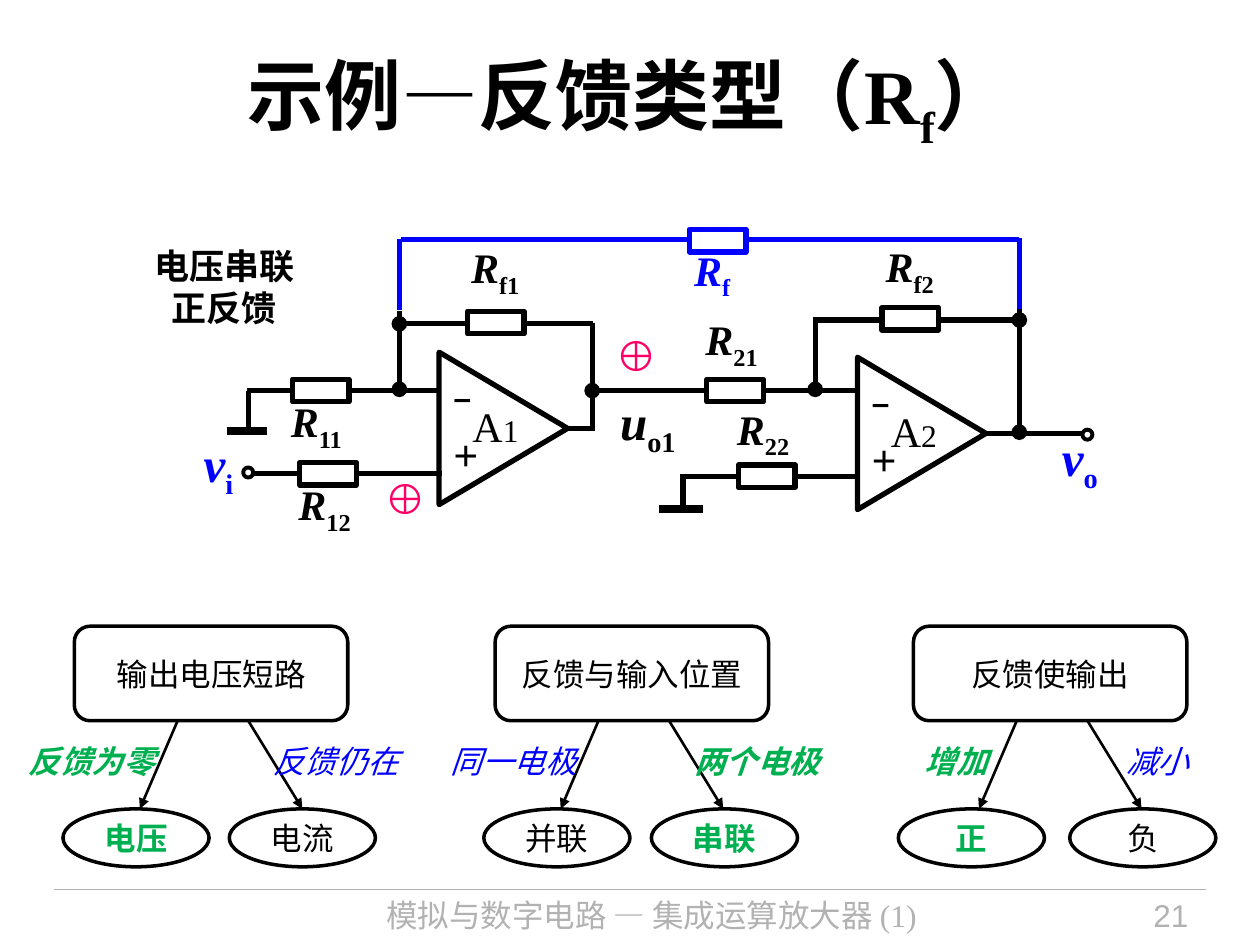
from dataclasses import dataclass, replace

from lxml import etree
from pptx import Presentation
from pptx import util as u
from pptx.dml import color as colour
from pptx.enum import shapes, text
from pptx.oxml import ns


@dataclass(frozen=True)
class Style:
    size: float
    ink: str = "000000"
    font: str = "Arial"
    bold: bool = False
    italic: bool = False
    sub: bool = False


class Theme:
    black, blue, green, pink, grey, white = (
        "000000", "0000FF", "00B050", "FF0066", "B2B2B2", "FFFFFF")
    serif = "Times New Roman"
    title = Style(44, font=serif, bold=True)
    body = Style(18)
    chosen = Style(18, green, bold=True)
    other = Style(18, blue, italic=True)
    verdict = Style(20, bold=True)
    symbol = Style(24, font=serif, bold=True, italic=True)
    signal = replace(symbol, size=28)
    polarity = Style(24, pink, serif, bold=True)
    plus, minus = Style(24), Style(18, bold=True)
    amplifier, amplifier_number = Style(24, font=serif), Style(18, font=serif)
    footer = Style(18, grey, serif)
    page_number = Style(18, grey)
    wire, ground, outline, arrow, rule, terminal = 3, 4.5, 2, 1.5, 0.75, 2.25


@dataclass(frozen=True)
class Box:
    left: float
    top: float
    width: float
    height: float

    def inner(self, x, y, width, height):
        return Box(self.left + x, self.top + y, width, height)

    def lengths(self):
        return [u.Inches(n) for n in (self.left, self.top, self.width, self.height)]


LEFT, CENTRE, RIGHT = text.PP_ALIGN.LEFT, text.PP_ALIGN.CENTER, text.PP_ALIGN.RIGHT
TOP, MIDDLE = text.MSO_ANCHOR.TOP, text.MSO_ANCHOR.MIDDLE
KIND = shapes.MSO_SHAPE


# Basic elements
def write(frame, lines, align=LEFT, anchor=TOP, wrap=True, spacing=None):
    """Each line is a list of (words, style) spans."""
    frame.word_wrap = wrap
    frame.vertical_anchor = anchor
    for index, spans in enumerate(lines):
        para = frame.add_paragraph() if index else frame.paragraphs[0]
        para.alignment = align
        if spacing:
            para.line_spacing = spacing
        for words, style in spans:
            span = para.add_run()
            span.text = words
            font = span.font
            font.name, font.size = style.font, u.Pt(style.size)
            font.bold, font.italic = style.bold, style.italic
            font.color.rgb = colour.RGBColor.from_string(style.ink)
            if style.sub:
                span._r.get_or_add_rPr().set("baseline", "-25000")


def add_text(page, box, lines, inset=True, **layout):
    frame = page.shapes.add_textbox(*box.lengths()).text_frame
    if not inset:
        frame.margin_left = frame.margin_right = 0
        frame.margin_top = frame.margin_bottom = 0
    write(frame, lines, **layout)


def subscripted(letter, index, style):
    return [(letter, style), (index, replace(style, italic=False, sub=True))]


def add_shape(page, kind, box, weight, ink=Theme.black, fill=None):
    shape = page.shapes.add_shape(kind, *box.lengths())
    shape.shadow.inherit = False
    shape.line.color.rgb = colour.RGBColor.from_string(ink)
    shape.line.width = u.Pt(weight)
    if fill:
        shape.fill.solid()
        shape.fill.fore_color.rgb = colour.RGBColor.from_string(fill)
    else:
        shape.fill.background()
    return shape


def add_line(page, box, ends, weight, ink=Theme.black, head=None, tail=None):
    x1, y1, x2, y2 = ends
    line = page.shapes.add_connector(
        shapes.MSO_CONNECTOR.STRAIGHT,
        u.Inches(box.left + x1), u.Inches(box.top + y1),
        u.Inches(box.left + x2), u.Inches(box.top + y2))
    line.line.width = u.Pt(weight)
    line.line.color.rgb = colour.RGBColor.from_string(ink)
    for tag, end in (("a:headEnd", head), ("a:tailEnd", tail)):
        if end:
            etree.SubElement(line.line._get_or_add_ln(), ns.qn(tag)).set("type", end)
    etree.SubElement(line._element.spPr, ns.qn("a:effectLst"))


# Regions
def add_title(page, box):
    spans = [("示例—反馈类型（R", Theme.title),
             ("f", replace(Theme.title, sub=True)), ("）", Theme.title)]
    add_text(page, box, [spans], align=CENTRE, anchor=MIDDLE)


def add_footer(page, box):
    add_line(page, box, (0, 0, box.width, 0), Theme.rule, Theme.grey)
    add_text(page, box.inner(2.06, 0, 5.36, box.height),
             [[("模拟与数字电路 — 集成运算放大器 (1)", Theme.footer)]], align=CENTRE)
    add_text(page, box.inner(7.77, 0, 1.33, box.height),
             [[("21", Theme.page_number)]], align=RIGHT)


def add_amplifier(page, box, number):
    triangle = add_shape(page, KIND.ISOSCELES_TRIANGLE, box, Theme.wire)
    triangle.rotation = 90
    for x, y, width, height, spans in [
        (0.21, 0.51, 0.19, 0.4, [("+", Theme.plus)]),
        (0.21, 0.11, 0.14, 0.3, [("–", Theme.minus)]),
        (0.36, 0.29, 0.37, 0.4, [("A", Theme.amplifier),
                                 (number, Theme.amplifier_number)]),
    ]:
        add_text(page, box.inner(x, y, width, height), [spans],
                 inset=False, anchor=MIDDLE, wrap=False)


def add_circuit(page, box):
    # Wires, with a dot where they join
    for *ends, head, tail in [
        (0.96, 1.6, 2.49, 1.6, None, None), (0.97, 2.26, 2.51, 2.26, None, None),
        (3.47, 1.9, 3.72, 1.9, None, None), (3.7, 1.06, 3.7, 1.89, None, None),
        (2.17, 0.97, 2.17, 1.59, None, "oval"), (0.97, 1.6, 0.97, 1.93, None, None),
        (2.17, 1.07, 3.71, 1.07, "oval", None), (4.42, 2.26, 4.42, 2.53, None, None),
        (3.7, 1.6, 5.81, 1.6, "oval", None), (4.41, 2.28, 5.8, 2.28, None, None),
        (6.8, 1.94, 7.6, 1.94, None, None), (5.45, 1.04, 7.09, 1.04, None, "oval"),
        (7.09, 0.95, 7.09, 1.93, None, "oval"), (5.47, 1.02, 5.47, 1.59, None, "oval"),
    ]:
        add_line(page, box, ends, Theme.wire, head=head, tail=tail)
    # Grounds and the feedback loop
    for ends in [(0.8, 1.92, 1.12, 1.92), (4.23, 2.54, 4.58, 2.54)]:
        add_line(page, box, ends, Theme.ground)
    for ends in [(7.09, 0.39, 7.09, 0.95), (2.17, 0.4, 2.17, 0.96),
                 (2.18, 0.4, 7.09, 0.4)]:
        add_line(page, box, ends, Theme.wire, Theme.blue)
    # Resistors: place, then the label's offset from it
    for index, x, y, dx, dy, ink in [
        ("11", 1.32, 1.51, -0.11, 0.08, Theme.black),
        ("12", 1.38, 2.17, -0.11, 0.08, Theme.black),
        ("f1", 2.71, 0.97, -0.07, -0.6, Theme.black),
        ("21", 4.61, 1.51, -0.11, -0.57, Theme.black),
        ("22", 4.86, 2.19, -0.11, -0.54, Theme.black),
        ("f2", 6, 0.94, -0.07, -0.58, Theme.black),
        ("f", 4.47, 0.32, -0.06, 0.07, Theme.blue),
    ]:
        add_shape(page, KIND.RECTANGLE, box.inner(x, y, 0.45, 0.18),
                  Theme.wire, ink, Theme.white)
        add_text(page, box.inner(x + dx, y + dy, 0.68, 0.5),
                 [subscripted("R", index, replace(Theme.symbol, ink=ink))])
    # Terminals and signals
    for x, y in [(0.93, 2.21), (7.59, 1.91)]:
        add_shape(page, KIND.OVAL, box.inner(x, y, 0.08, 0.08),
                  Theme.terminal, fill=Theme.white)
    for letter, index, x, y, width, ink, align, spacing in [
        ("u", "o1", 3.67, 1.56, 0.79, Theme.black, RIGHT, None),
        ("v", "i", 0.4, 1.89, 0.55, Theme.blue, RIGHT, None),
        ("v", "o", 7.33, 1.89, 0.59, Theme.blue, LEFT, 0.8),
    ]:
        add_text(page, box.inner(x, y, width, 0.57),
                 [subscripted(letter, index, replace(Theme.signal, ink=ink))],
                 align=align, spacing=spacing)
    for x, y in [(1.95, 2.2), (3.79, 1.07)]:
        add_text(page, box.inner(x, y, 0.5, 0.5), [[("⊕", Theme.polarity)]])
    # Amplifiers and the verdict
    for number, x, y in [("1", 2.39, 1.39), ("2", 5.71, 1.43)]:
        add_amplifier(page, box.inner(x, y, 1.21, 1.02), number)
    add_text(page, box.inner(0.01, 0.39, 1.54, 0.77),
             [[(line, Theme.verdict)] for line in ("电压串联", "正反馈")], align=CENTRE)


def add_decision(page, box, question, branches, chosen):
    """Question on top; each branch is (condition, its x, result, its x)."""
    card = add_shape(page, KIND.ROUNDED_RECTANGLE,
                     box.inner(0, 0, box.width, 0.75), Theme.outline)
    write(card.text_frame, [[(question, Theme.body)]], align=CENTRE, anchor=MIDDLE)
    arrows = [(0.82, 0.52), (1.38, 1.81)]
    for index, (condition, label_x, result, oval_x) in enumerate(branches):
        picked = index == chosen
        start, end = arrows[index]
        add_line(page, box, (start, 0.75, end, 1.45), Theme.arrow, tail="triangle")
        oval = add_shape(page, KIND.OVAL, box.inner(oval_x, 1.45, 1.16, 0.46), Theme.outline)
        write(oval.text_frame, [[(result, Theme.chosen if picked else Theme.body)]],
              align=CENTRE, anchor=MIDDLE)
        style = replace(Theme.chosen, italic=True) if picked else Theme.other
        add_text(page, box.inner(label_x, 0.87, 0.29 + 0.25 * len(condition), 0.4),
                 [[(condition, style)]])


def main():
    deck = Presentation()
    deck.slide_width, deck.slide_height = u.Inches(10), u.Inches(7.5)
    page = deck.slides.add_slide(deck.slide_layouts[6])
    add_footer(page, Box(0.43, 7.06, 9.14, 0.44))
    add_title(page, Box(0.5, 0.17, 9, 1.25))
    add_circuit(page, Box(1, 1.5, 8, 3))
    for left, question, branches, chosen in [
        (0.59, "输出电压短路", [("反馈为零", -0.46, "电压", -0.09),
                          ("反馈仍在", 1.48, "电流", 1.23)], 0),
        (3.93, "反馈与输入位置", [("同一电极", -0.45, "并联", -0.09),
                           ("两个电极", 1.48, "串联", 1.24)], 1),
        (7.25, "反馈使输出", [("增加", -0.01, "正", -0.12),
                         ("减小", 1.59, "负", 1.24)], 0),
    ]:
        add_decision(page, Box(left, 4.97, 2.17, 1.91), question, branches, chosen)
    deck.save("out.pptx")


if __name__ == "__main__":
    main()
